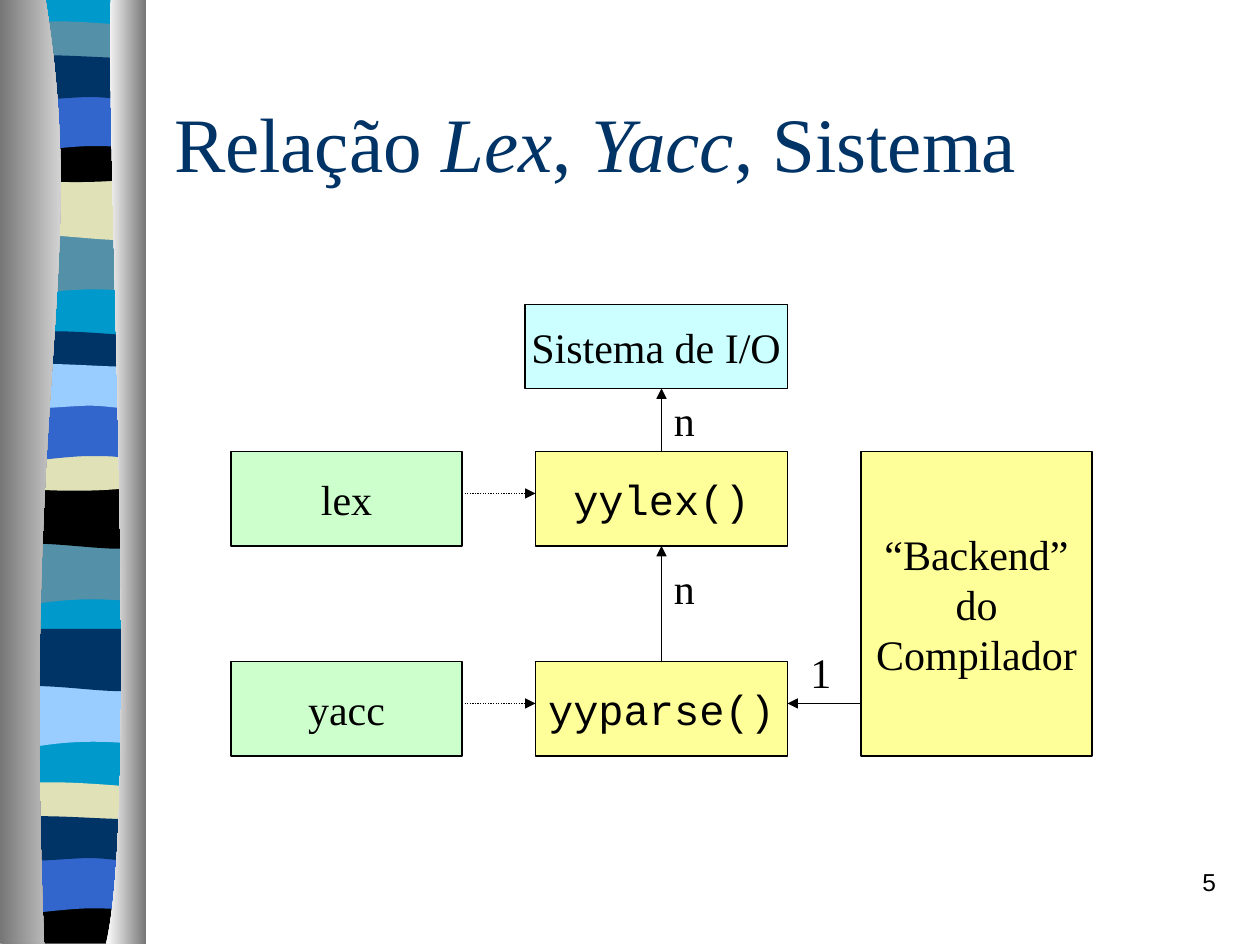
from dataclasses import dataclass
from typing import NamedTuple, Optional

import pptx
import pptx.dml.color
import pptx.enum.dml
import pptx.enum.shapes
import pptx.enum.text
import pptx.util
from pptx.oxml.xmlchemy import OxmlElement

RGB = pptx.dml.color.RGBColor
BLACK = RGB(0x00, 0x00, 0x00)
WHITE = RGB(0xFF, 0xFF, 0xFF)
NAVY = RGB(0x00, 0x33, 0x66)
AZURE = RGB(0x00, 0x99, 0xCC)
STEEL = RGB(0x54, 0x90, 0xA8)
SAND = RGB(0xE1, 0xE1, 0xB7)
ROYAL = RGB(0x33, 0x66, 0xCC)
SKY = RGB(0x99, 0xCC, 0xFF)
GREEN = RGB(0xCC, 0xFF, 0xCC)
YELLOW = RGB(0xFF, 0xFF, 0x99)
CYAN = RGB(0xCC, 0xFF, 0xFF)
GREY = RGB(0x76, 0x76, 0x76)

SERIF, MONO, SANS = "Times New Roman", "Courier New", "Arial"
ALIGN = pptx.enum.text.PP_ALIGN
MIDDLE = pptx.enum.text.MSO_ANCHOR.MIDDLE
DOTTED = pptx.enum.dml.MSO_LINE.ROUND_DOT
TOP, BOTTOM = 0, 2

# Outlines in inches: pairs are corners, six numbers are a Bézier curve.
WIDE = 1.08
WAVE = [(WIDE, 0), (WIDE, 0.47), (0.33, 0.39, 0.18, 0.55, 0, 0.47), (0, 0)]
SWELL = [(WIDE, 0), (WIDE, 0.47), (0.9, 0.55, 0.33, 0.41, 0, 0.47), (0, 0)]
ARCH = [(WIDE, 0.05), (WIDE, 0.29), (0.9, 0.33, 0.18, 0.33, 0, 0.29), (0, 0.05),
        (0.06, 0, 0.23, 0.01, 0.41, 0.01), (0.59, 0.01, 0.94, 0.04, WIDE, 0.05)]
DIP_TOP = (0.66, 0.05, 0.85, 0, WIDE, 0)
DIP = [(WIDE, 0), (WIDE, 0.32), (0.9, 0.38, 0.18, 0.38, 0, 0.32), (0, 0), DIP_TOP]
FLAT_DIP = [(WIDE, 0), (WIDE, 0.37), (0, 0.37), (0, 0), DIP_TOP]
CREST = [(WIDE, 0), (WIDE, 0.47), (0.91, 0.42, 0.84, 0.42, 0.66, 0.42),
         (0.48, 0.42, 0.16, 0.47, 0, 0.47), (0, 0)]
RIPPLE = [(WIDE, 0.05), (WIDE, 0.36), (1.01, 0.41, 0.84, 0.36, 0.66, 0.36),
          (0.48, 0.36, 0.11, 0.41, 0, 0.36), (0, 0.05),
          (0.15, 0, 0.73, 0.05, 0.91, 0.05), (1.09, 0.05, 1.04, 0.05, WIDE, 0.05)]
BACKDROP = [(WIDE, 0), (WIDE, 7.48), (0, 7.48), (0, 0)]
LEFT_COLUMN = [(0.36, 0), (0.71, 2.17, 0.17, 2.97, 0.35, 7.5), (0, 7.5), (0, 0)]
RIGHT_COLUMN = [(0.88, 0), (0.84, 1.26, 1.11, 6.47, 0.84, 7.5), (1.16, 7.5), (1.16, 0)]


class Band(NamedTuple):
    outline: list
    top: float
    colour: RGB
    left: float = 0.05


BANDS = [
    Band(BACKDROP, -0.01, AZURE, 0.06),
    Band(WAVE, 1.85, STEEL, 0.06), Band(SWELL, 1.41, SAND, 0.06),
    Band(ARCH, 0.16, STEEL, 0.06), Band(DIP, 1.08, BLACK, 0.06),
    Band(CREST, 0.74, ROYAL, 0.06), Band(RIPPLE, 0.41, NAVY, 0.06),
    Band(WAVE, 4.31, STEEL), Band(SWELL, 3.86, BLACK), Band(ARCH, 2.62, NAVY),
    Band(DIP, 3.53, SAND), Band(CREST, 3.2, ROYAL), Band(RIPPLE, 2.86, SKY),
    Band(WAVE, 5.44, SKY, 0.06), Band(SWELL, 4.99, NAVY, 0.06),
    Band(ARCH, 6.2, SAND), Band(FLAT_DIP, 7.12, BLACK),
    Band(CREST, 6.79, ROYAL), Band(RIPPLE, 6.45, NAVY),
]


@dataclass
class Node:
    """A labelled rectangle, placed in grid columns and rows."""
    text: str
    column: float
    row: float
    columns: float
    rows: float
    fill: RGB
    font: str = SERIF


NODES = {
    "lex": Node("lex", 22, 43, 22, 9, GREEN),
    "yacc": Node("yacc", 22, 63, 22, 9, GREEN),
    "yylex": Node("yylex()", 51, 43, 24, 9, YELLOW, MONO),
    "yyparse": Node("yyparse()", 51, 63, 24, 9, YELLOW, MONO),
    "backend": Node("“Backend”\ndo\nCompilador", 82, 43, 22, 29, YELLOW),
    "system": Node("Sistema de I/O", 50, 29, 25, 8, CYAN),
}


class Arrow(NamedTuple):
    start: tuple
    end: tuple
    dotted: bool = False
    leaves_top_of: Optional[str] = None
    enters_bottom_of: Optional[str] = None


ARROWS = [
    Arrow((44, 47), (51, 47), dotted=True),
    Arrow((44, 67), (51, 67), dotted=True),
    Arrow((63, 43), (63, 37), leaves_top_of="yylex"),
    Arrow((63, 63), (63, 52), leaves_top_of="yyparse", enters_bottom_of="yylex"),
    Arrow((82, 67), (75, 67)),
]
LABELS = [("1", 76, 61), ("n", 63, 53), ("n", 63, 37)]


def grid(cells: float) -> int:
    """Length of grid cells, twelve to the inch."""
    return pptx.util.Inches(cells / 12)


def draw_outline(page, outline: list, left: float, top: float):
    """Draw the outline through all its points, then bend the curved parts."""
    points = [(pptx.util.Inches(left + x), pptx.util.Inches(top + y))
              for part in outline for x, y in zip(part[::2], part[1::2])]
    builder = page.shapes.build_freeform(*points[0])
    builder.add_line_segments(points[1:], close=True)
    shape = builder.convert_to_shape()
    segments = iter(shape.element.xpath(".//a:lnTo"))
    for part in outline[1:]:
        first = next(segments)
        if len(part) == 6:
            curve = OxmlElement("a:cubicBezTo")
            first.addprevious(curve)
            for segment in (first, next(segments), next(segments)):
                curve.append(segment[0])
                segment.getparent().remove(segment)
    shape.shadow.inherit = False
    shape.line.fill.background()
    return shape


def draw_column(page, outline: list, left_colour: RGB, right_colour: RGB) -> None:
    fill = draw_outline(page, outline, 0, -0.01).fill
    fill.gradient()
    fill.gradient_angle = 0
    for stop, colour in zip(fill.gradient_stops, (left_colour, right_colour)):
        stop.color.rgb = colour


def style_text(shape, size: float, font: str = SERIF, colour: RGB = BLACK,
               align=ALIGN.LEFT, wrap: bool = False) -> None:
    shape.text_frame.word_wrap = wrap
    for para in shape.text_frame.paragraphs:
        para.alignment = align
        for span in para.runs:
            span.font.size = pptx.util.Pt(size)
            span.font.name = font
            span.font.color.rgb = colour


def draw_node(page, node: Node):
    box = page.shapes.add_shape(
        pptx.enum.shapes.MSO_SHAPE.RECTANGLE,
        *map(grid, (node.column, node.row, node.columns, node.rows)))
    box.shadow.inherit = False
    box.fill.solid()
    box.fill.fore_color.rgb = node.fill
    box.line.color.rgb = BLACK
    box.line.width = pptx.util.Pt(0.75)
    box.text_frame.text = node.text
    box.text_frame.vertical_anchor = MIDDLE
    style_text(box, 24, node.font, align=ALIGN.CENTER)
    return box


def draw_arrow(page, arrow: Arrow, boxes: dict) -> None:
    line = page.shapes.add_connector(pptx.enum.shapes.MSO_CONNECTOR.STRAIGHT,
                                     *map(grid, arrow.start + arrow.end))
    if arrow.leaves_top_of:
        line.begin_connect(boxes[arrow.leaves_top_of], TOP)
    if arrow.enters_bottom_of:
        line.end_connect(boxes[arrow.enters_bottom_of], BOTTOM)
    line.line.color.rgb = BLACK
    line.line.width = pptx.util.Pt(0.75)
    if arrow.dotted:
        line.line.dash_style = DOTTED
    head = OxmlElement("a:tailEnd")
    head.set("type", "triangle")
    line.element.spPr.ln.append(head)
    line.element.spPr.append(OxmlElement("a:effectLst"))


def draw_text(page, text: str, column: float, row: float, columns: float, rows: float):
    box = page.shapes.add_textbox(*map(grid, (column, row, columns, rows)))
    box.text_frame.text = text
    return box


def draw_title(page) -> None:
    title = draw_text(page, "", 15.4, 6, 102, 15)
    title.text_frame.vertical_anchor = MIDDLE
    para = title.text_frame.paragraphs[0]
    for index, words in enumerate(("Relação ", "Lex", ", ", "Yacc", ", Sistema")):
        span = para.add_run()
        span.text = words
        span.font.italic = index % 2 == 1
    style_text(title, 44, colour=NAVY, wrap=True)


def main() -> None:
    deck = pptx.Presentation()
    deck.slide_width, deck.slide_height = grid(120), grid(90)
    page = deck.slides.add_slide(deck.slide_layouts[6])

    for band in BANDS:
        fill = draw_outline(page, band.outline, band.left, band.top).fill
        fill.solid()
        fill.fore_color.rgb = band.colour
    draw_column(page, LEFT_COLUMN, GREY, WHITE)
    draw_column(page, RIGHT_COLUMN, WHITE, GREY)

    style_text(draw_text(page, "5", 92, 82, 25, 6), 14, SANS, align=ALIGN.RIGHT, wrap=True)
    draw_title(page)
    boxes = {name: draw_node(page, node) for name, node in NODES.items()}
    for arrow in ARROWS:
        draw_arrow(page, arrow, boxes)
    for text, column, row in LABELS:
        style_text(draw_text(page, text, column, row, 4.3, 6), 24)
    deck.save("out.pptx")


if __name__ == "__main__":
    main()
